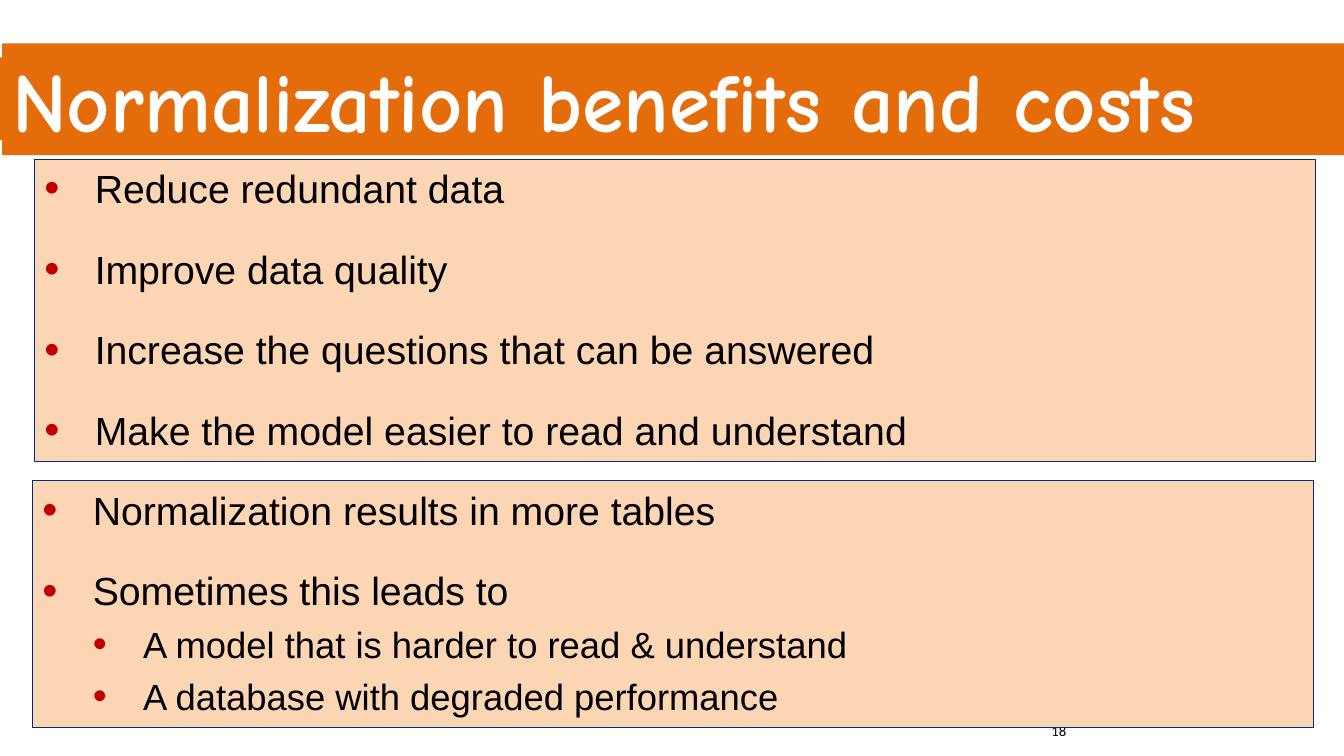
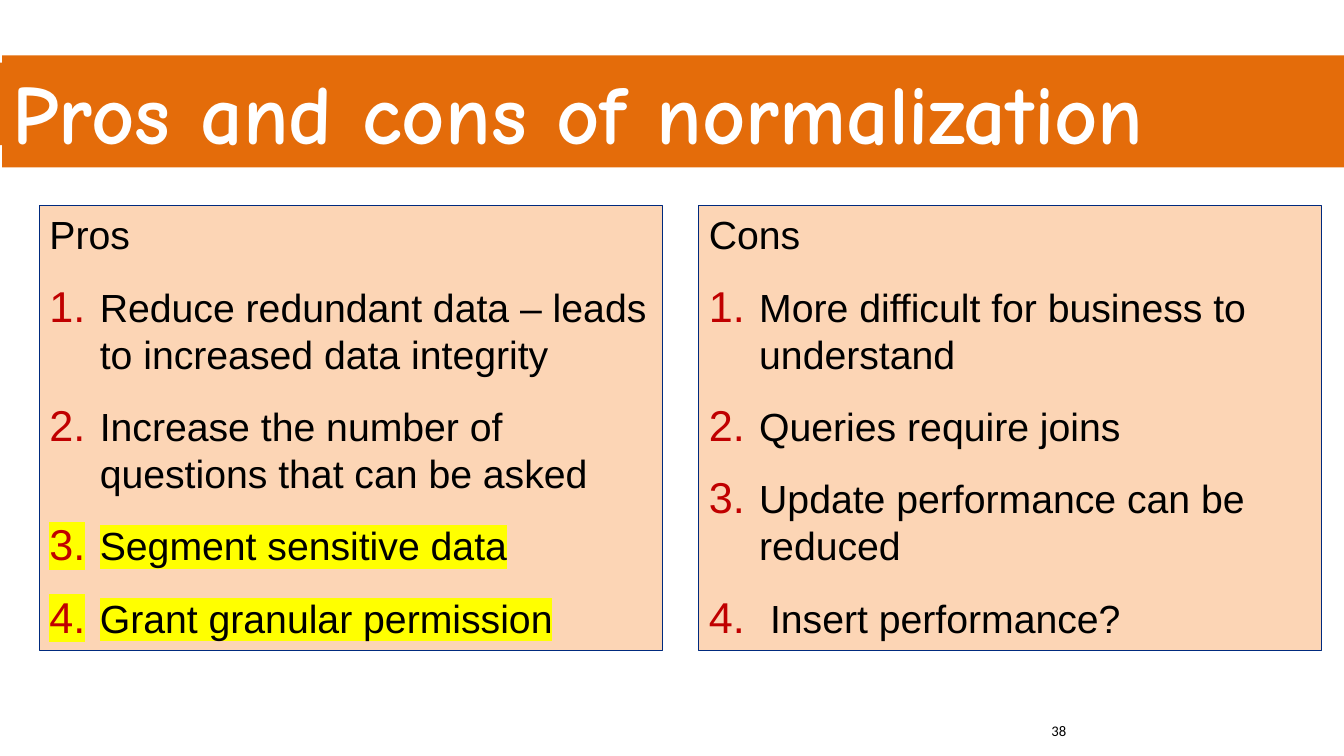
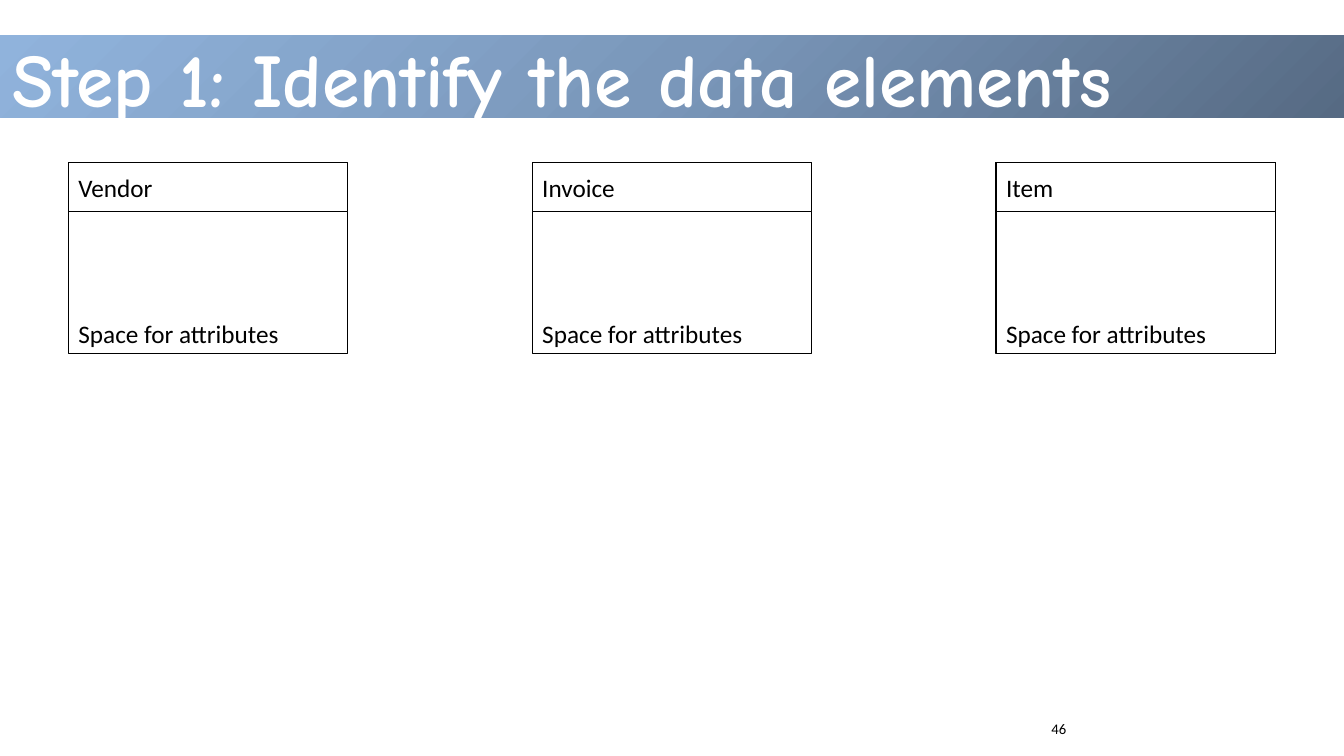
import pptx
import pptx.util
import pptx.dml.color
import pptx.enum.shapes
import pptx.enum.text
import pptx.oxml
import pptx.oxml.ns

PX = 9144  # one px is a hundredth of an inch
HUES = {
    "band": "E46C0A", "panel": "FCD5B5", "edge": "002A7E", "mark": "C00000",
    "glow": "FFFF00", "ink": "000000", "paper": "FFFFFF",
}
BLEND = [(0, "566A83"), (50, "7A97BA"), (100, "90B3DC")]
HEAD, BODY, NOTE = "Comic Neue", "Arial", "Calibri"
WIDE, TALL = 1333, 750
BAND_H = 82
INDENT = 50
ANCHOR = pptx.enum.text.MSO_ANCHOR


# Helpers
def rgb(name):
    return pptx.dml.color.RGBColor.from_string(HUES[name])


def node(tag, inner="", **attrs):
    pairs = "".join(f' {key}="{val}"' for key, val in attrs.items())
    space = pptx.oxml.ns.nsdecls("a")
    return pptx.oxml.parse_xml(f"<a:{tag} {space}{pairs}>{inner}</a:{tag}>")


def place(shape, box):
    shape.left, shape.top, shape.width, shape.height = [n * PX for n in box]


def paint(shape, fill, line=None, width=0.75):
    shape.fill.solid()
    shape.fill.fore_color.rgb = rgb(fill)
    if line:
        shape.line.color.rgb = rgb(line)
        shape.line.width = pptx.util.Pt(width)
    else:
        shape.line.fill.background()


def style(para, size, font, hue="ink", bold=False):
    for run in para.runs:
        run.font.size = pptx.util.Pt(size)
        run.font.bold = bold
        run.font.color.rgb = rgb(hue)
        run.font.name = font


def frame(shape, anchor=ANCHOR.TOP):
    text = shape.text_frame
    text.word_wrap = True
    text.auto_size = pptx.enum.text.MSO_AUTO_SIZE.NONE
    text.vertical_anchor = anchor
    return text


def rect(shapes, box):
    shape = shapes.add_shape(
        pptx.enum.shapes.MSO_SHAPE.RECTANGLE, *[n * PX for n in box])
    shape.shadow.inherit = False
    return shape


def write(shape, text, size, font, hue="ink", bold=False, anchor=ANCHOR.TOP):
    area = frame(shape, anchor)
    area.text = text
    para = area.paragraphs[0]
    para.alignment = pptx.enum.text.PP_ALIGN.LEFT
    style(para, size, font, hue, bold)


def send_back(shape):
    tree = shape.element.getparent()
    tree.insert(2, shape.element)


# Shared parts
def blend(shape):
    stops = "".join(
        f'<a:gs pos="{pos * 1000}"><a:srgbClr val="{hue}"/></a:gs>'
        for pos, hue in BLEND)
    focus = '<a:fillToRect l="100000" t="100000"/>'
    fill = node("gradFill", f'<a:gsLst>{stops}</a:gsLst>'
                f'<a:path path="circle">{focus}</a:path>', rotWithShape=1)
    shape.line.fill.background()
    shape.element.spPr.find(pptx.oxml.ns.qn("a:prstGeom")).addnext(fill)


def start(deck, layout, title, box, size, band_y, page, page_y=711):
    slide = deck.slides.add_slide(deck.slide_layouts[layout])
    place(slide.shapes.title, box)
    write(slide.shapes.title, title, size, HEAD, "paper", True)
    label = slide.shapes.add_textbox(
        *[n * PX for n in (1033, page_y, 300, 40)])
    write(label, page, 10.5, NOTE)
    send_back(label)
    band = rect(slide.shapes, (0, band_y, WIDE, BAND_H))
    send_back(band)
    return slide, band


def mark(para, kind):
    props = para._p.get_or_add_pPr()
    if kind == "plain":
        props.set("marL", "0")
        props.set("indent", "0")
        props.append(node("buNone"))
        return
    props.set("marL", str((para.level + 1) * INDENT * PX))
    props.set("indent", str(-INDENT * PX))
    props.append(node("buClr", f'<a:srgbClr val="{HUES["mark"]}"/>'))
    props.append(node("buSzPct", val=110000))
    props.append(node("buFont", typeface=BODY))
    if kind == "dot":
        props.append(node("buChar", char="•"))
    else:
        props.append(node("buAutoNum", type="arabicPeriod"))


def glow(para):
    hue = f'<a:srgbClr val="{HUES["glow"]}"/>'
    for run in para.runs:
        fill = run._r.rPr.find(pptx.oxml.ns.qn("a:solidFill"))
        fill.addnext(node("highlight", hue))


def panel(holder, box, items):
    """Each item is text, kind of mark, level, space after."""
    place(holder, box)
    paint(holder, "panel", "edge")
    area = frame(holder)
    area.text = "\n".join(item[0] for item in items)
    for para, (_, kind, level, after) in zip(area.paragraphs, items):
        para.level = level
        para.line_spacing = 1.0
        para.space_before = pptx.util.Pt(0)
        para.space_after = pptx.util.Pt(after)
        style(para, 28 - 2 * level, BODY)
        mark(para, kind)
        if kind == "glow":
            glow(para)


def entity(slide, left, name):
    group = slide.shapes.add_group_shape()
    for text, high, anchor in (
            ("Space for attributes", 190, ANCHOR.BOTTOM),
            (name, 49, ANCHOR.MIDDLE)):
        cell = rect(group.shapes, (left, 161, 277, high))
        paint(cell, "paper", "ink", 1)
        write(cell, text, 18, NOTE, anchor=anchor)


# Slides
def benefits(deck):
    slide, band = start(deck, 3, "Normalization benefits and costs",
                        (2, 43, 1336, 111), 60, 57, "18")
    paint(band, "band")
    paint(slide.shapes.title, "band")
    gains = ["Reduce redundant data", "Improve data quality",
             "Increase the questions that can be answered",
             "Make the model easier to read and understand"]
    panel(slide.placeholders[1], (34, 158, 1271, 300),
          [(text, "dot", 0, 24) for text in gains])
    panel(slide.placeholders[2], (32, 477, 1271, 245), [
        ("Normalization results in more tables", "dot", 0, 24),
        ("Sometimes this leads to", "dot", 0, 6),
        ("A model that is harder to read & understand", "dot", 1, 6),
        ("A database with degraded performance", "dot", 1, 24)])


def compare(deck):
    slide, band = start(deck, 3, "Pros and cons of normalization",
                        (2, 55, 1336, 111), 60, 62, "38")
    paint(band, "band")
    paint(slide.shapes.title, "band")
    sides = [
        [("Pros", "plain"),
         ("Reduce redundant data – leads to increased data integrity", "num"),
         ("Increase the number of questions that can be asked", "num"),
         ("Segment sensitive data", "glow"),
         ("Grant granular permission", "glow")],
        [("Cons", "plain"),
         ("More difficult for business to understand", "num"),
         ("Queries require joins", "num"),
         ("Update performance can be reduced", "num"),
         (" Insert performance?", "num")]]
    for i, side in enumerate(sides):
        panel(slide.placeholders[i + 1], (39 + 654 * i, 204, 618, 441),
              [(text, kind, 0, 18) for text, kind in side])


def elements(deck):
    slide, band = start(deck, 5, "Step 1: Identify the data elements",
                        (2, 27, 1336, 101), 54, 35, "46", 709)
    blend(band)
    for i, name in enumerate(("Vendor", "Invoice", "Item")):
        entity(slide, 68 + 460 * i, name)


def main():
    deck = pptx.Presentation()
    deck.slide_width, deck.slide_height = WIDE * PX, TALL * PX
    benefits(deck)
    compare(deck)
    elements(deck)
    deck.save("out.pptx")


if __name__ == "__main__":
    main()
